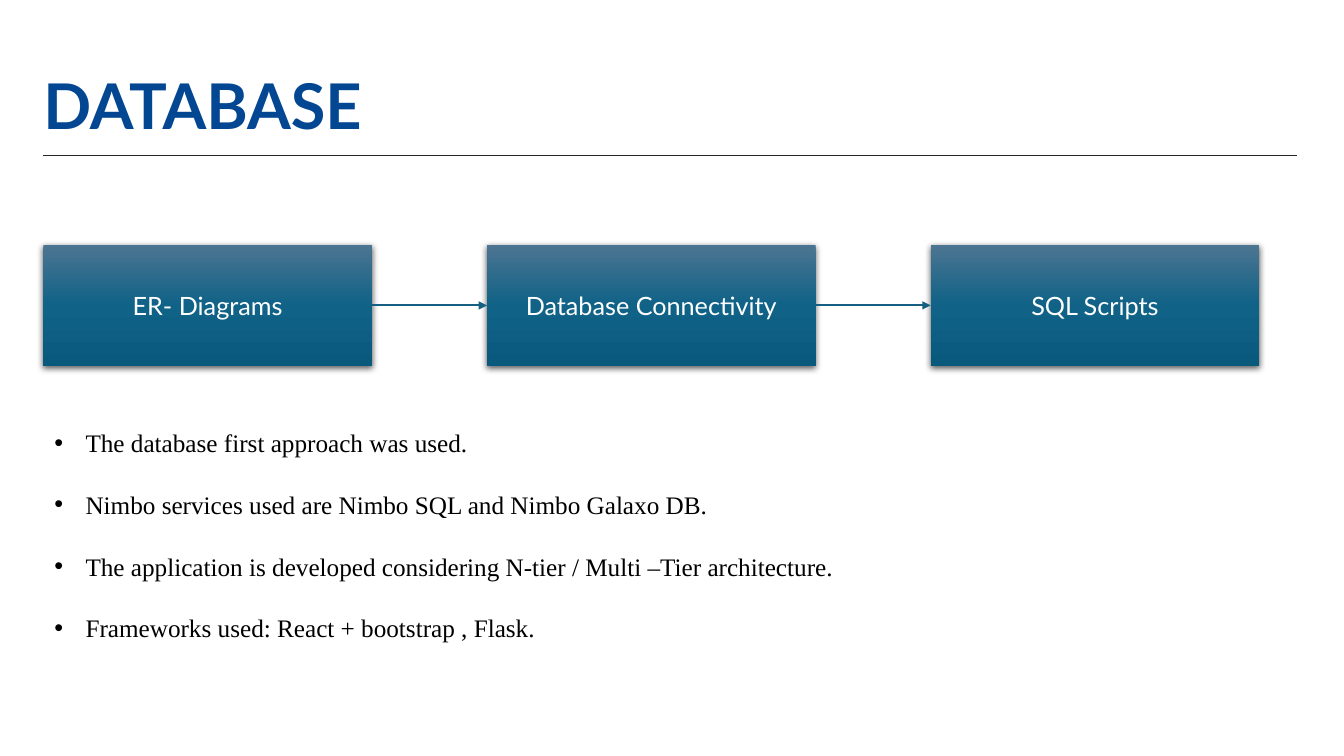
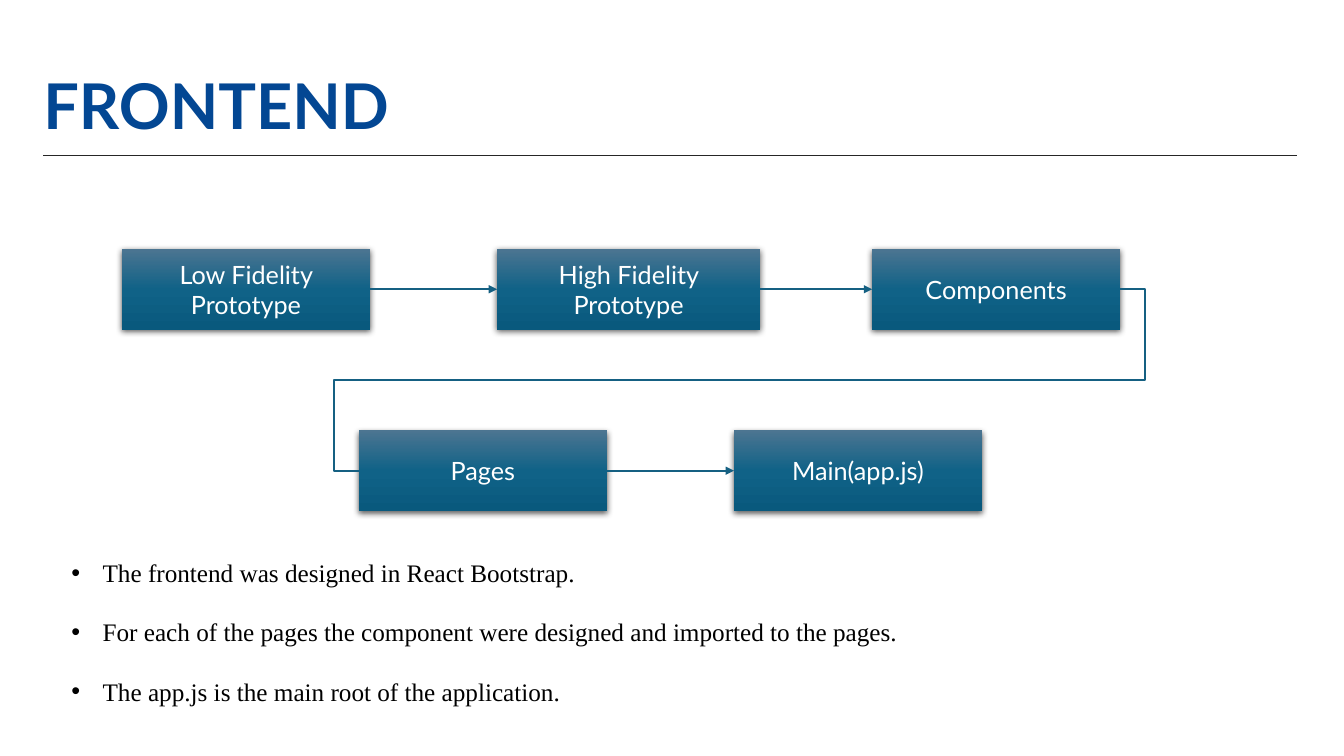
"""Build the database and frontend slides, each a flow of boxes above a bulleted list."""
import copy

import pptx
import pptx.dml.color
import pptx.enum.shapes
import pptx.enum.text
import pptx.oxml
import pptx.oxml.ns
import pptx.util
from pptx.util import Inches, Pt

MARGIN = 0.43
CONTENT_WIDTH = 12.43
RIGHT, LEFT = 3, 1
BOX_GRADIENT = [(0, "4C7591"), (0.5, "106287"), (1, "09597D")]
ARROW_COLOUR = "156082"
RULE_COLOUR = "262626"
TITLE_FONT = {"name": "Lato", "size": Pt(45), "bold": True, "color": "034793"}
BOX_FONT = {"name": "Lato", "size": Pt(18), "color": "FFFFFF"}
BULLET_FONT = {"name": "Times New Roman", "size": Pt(18), "color": "000000"}
ALIGN = pptx.enum.text.PP_ALIGN
ANCHOR = pptx.enum.text.MSO_ANCHOR
CONNECTOR = pptx.enum.shapes.MSO_CONNECTOR


def rgb(colour):
    """Turn a hex string into a colour."""
    return pptx.dml.color.RGBColor.from_string(colour)


def xml(markup):
    """Parse one drawing element, written without its namespace declaration."""
    tag, rest = markup[:-2].split(" ", 1) if markup.endswith("/>") else markup.split(" ", 1)
    end = "/>" if markup.endswith("/>") else ""
    return pptx.oxml.parse_xml(f"{tag} {pptx.oxml.ns.nsdecls('a')} {rest}{end}")


def apply_format(target, values):
    """Set each named attribute, with colours given as hex strings."""
    for name, value in values.items():
        if name == "color":
            target.color.rgb = rgb(value)
        else:
            setattr(target, name, value)


def write(paragraph, text, font, **layout):
    """Fill a paragraph with one formatted run."""
    run = paragraph.add_run()
    run.text = text
    apply_format(run.font, font)
    apply_format(paragraph, layout)


def add_line(slide, start, end, colour, width, kind=CONNECTOR.STRAIGHT):
    """Draw a connector without a shadow."""
    line = slide.shapes.add_connector(kind, *map(Inches, start + end))
    apply_format(line.line, {"color": colour, "width": Pt(width)})
    line._element.spPr.append(pptx.oxml.parse_xml(f"<a:effectLst {pptx.oxml.ns.nsdecls('a')}/>"))
    return line


def add_titled_slide(deck, heading):
    """Add a blank slide with the shared title and the rule under it."""
    slide = deck.slides.add_slide(deck.slide_layouts[6])
    add_line(slide, (MARGIN, 1.54), (MARGIN + CONTENT_WIDTH, 1.54), RULE_COLOUR, 1)
    title = slide.shapes.add_textbox(*map(Inches, (MARGIN, 0.37, CONTENT_WIDTH, 1.1)))
    apply_format(title.text_frame, {"word_wrap": True, "vertical_anchor": ANCHOR.BOTTOM,
                                    "margin_left": 0, "margin_right": 0})
    write(title.text_frame.paragraphs[0], heading, TITLE_FONT, line_spacing=0.9)
    return slide


def add_step(slide, label, left, top, width, height):
    """Draw one shaded step of the flow."""
    step = slide.shapes.add_shape(pptx.enum.shapes.MSO_SHAPE.RECTANGLE,
                                  *map(Inches, (left, top, width, height)))
    step.fill.gradient()
    step.fill.gradient_angle = 270
    properties = step._element.spPr
    stops = properties.find(".//" + pptx.oxml.ns.qn("a:gsLst"))
    stops.append(copy.deepcopy(stops[0]))
    for stop, (position, colour) in zip(step.fill.gradient_stops, BOX_GRADIENT):
        apply_format(stop, {"position": position, "color": colour})
    step.line.fill.background()
    step.shadow.inherit = False
    properties.find(pptx.oxml.ns.qn("a:effectLst")).append(xml(
        f'<a:outerShdw blurRad="{Pt(4.5)}" dist="{Pt(1.5)}" dir="5400000" algn="ctr" rotWithShape="0">'
        '<a:srgbClr val="000000"><a:alpha val="63000"/></a:srgbClr></a:outerShdw>'))
    apply_format(step.text_frame, {"word_wrap": True, "vertical_anchor": ANCHOR.MIDDLE})
    write(step.text_frame.paragraphs[0], label, BOX_FONT, alignment=ALIGN.CENTER)
    return step


def join(slide, source, target, kind=CONNECTOR.STRAIGHT):
    """Link the right side of one step to the left side of another."""
    link = add_line(slide, (0, 0), (1, 1), ARROW_COLOUR, 1.5, kind)
    link.begin_connect(source, RIGHT)
    link.end_connect(target, LEFT)
    return link


def add_row(slide, labels, left, top, pitch, widths, height):
    """Draw steps at an equal pitch, with an arrow from each to the next."""
    steps = [add_step(slide, label, left + index * pitch, top, width, height)
             for index, (label, width) in enumerate(zip(labels, widths))]
    for source, target in zip(steps, steps[1:]):
        arrow = join(slide, source, target)
        arrow.line._get_or_add_ln().append(xml('<a:tailEnd type="triangle"/>'))
    return steps


def add_return_link(slide, source, target):
    """Lead from the end of one row back to the start of the row below."""
    link = join(slide, source, target, CONNECTOR.ELBOW)
    geometry = link._element.spPr.find(pptx.oxml.ns.qn("a:prstGeom"))
    geometry.set("prst", "bentConnector5")
    guides = geometry.find(pptx.oxml.ns.qn("a:avLst"))
    for number, value in enumerate((-3300, 50000, 103300), 1):
        guides.append(xml(f'<a:gd name="adj{number}" fmla="val {value}"/>'))


def add_bullets(slide, points, left, top, width, height, **layout):
    """Write a bulleted list."""
    notes = slide.shapes.add_textbox(*map(Inches, (left, top, width, height)))
    frame = notes.text_frame
    apply_format(frame, {"word_wrap": True,
                         "auto_size": pptx.enum.text.MSO_AUTO_SIZE.SHAPE_TO_FIT_TEXT})
    for index, point in enumerate(points):
        paragraph = frame.add_paragraph() if index else frame.paragraphs[0]
        write(paragraph, point, BULLET_FONT, **layout)
        properties = paragraph._p.get_or_add_pPr()
        properties.set("marL", str(Inches(0.31)))
        properties.set("indent", str(Inches(-0.31)))
        properties.append(xml('<a:buFont typeface="Arial"/>'))
        properties.append(xml('<a:buChar char="•"/>'))


def add_database_slide(deck):
    """Show the database steps and notes."""
    slide = add_titled_slide(deck, "DATABASE")
    add_row(slide, ["ER- Diagrams", "Database Connectivity", "SQL Scripts"],
            MARGIN, 2.43, 4.4, [3.26] * 3, 1.2)
    add_bullets(slide, [
        "The database first approach was used.",
        "Nimbo services used are Nimbo SQL and Nimbo Galaxo DB.",
        "The application is developed considering N-tier / Multi –Tier architecture.",
        "Frameworks used: React + bootstrap , Flask.",
    ], 0.44, 4.19, 8.52, 2.22, space_after=Pt(22.5))


def add_frontend_slide(deck):
    """Show the frontend steps and notes."""
    slide = add_titled_slide(deck, "FRONTEND")
    pitch, width, height = 3.72, 2.46, 0.8
    design = add_row(slide, ["Low Fidelity Prototype", "High Fidelity Prototype", "Components"],
                     1.21, 2.47, pitch, [width, 2.61, width], height)
    build = add_row(slide, ["Pages", "Main(app.js)"], 3.56, 4.27, pitch, [width] * 2, height)
    add_return_link(slide, design[-1], build[0])
    add_bullets(slide, [
        "The frontend was designed in React Bootstrap.",
        "For each of the pages the component were designed and imported to the pages.",
        "The app.js is the main root of the application.",
    ], 0.61, 5.33, 11.33, 1.7, alignment=ALIGN.JUSTIFY, line_spacing=1.5, space_before=Pt(10))


def main():
    """Build and save the deck."""
    deck = pptx.Presentation()
    apply_format(deck, {"slide_width": Inches(13.33), "slide_height": Inches(7.5)})
    add_database_slide(deck)
    add_frontend_slide(deck)
    deck.save("out.pptx")


if __name__ == "__main__":
    main()
